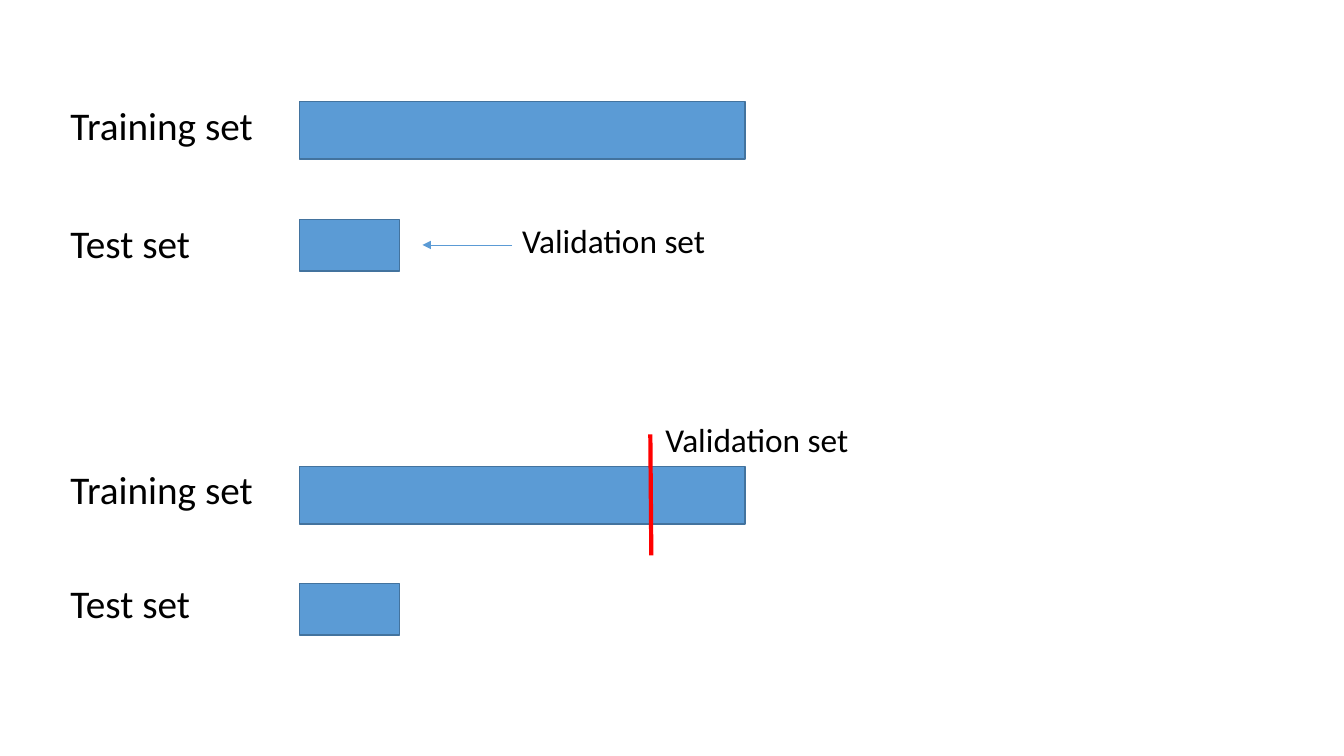
from lxml.etree import SubElement
from pptx import Presentation
from pptx.dml.color import RGBColor
from pptx.enum.shapes import MSO_CONNECTOR as Connector, MSO_SHAPE as Shape
from pptx.oxml.ns import qn
from pptx.util import Inches, Pt


def color(hex_value):
    return RGBColor.from_string(hex_value)


def add_label(text, left, top, size=28, font="Calibri", ink="000000"):
    box = slide.shapes.add_textbox(Inches(left), Inches(top), Inches(2.13), Inches(0.49))
    box.text_frame.word_wrap = True
    paragraph = box.text_frame.paragraphs[0]
    paragraph.line_spacing = 0.8
    paragraph.space_before = Pt(10)
    run = paragraph.add_run()
    run.text = text
    run.font.size = Pt(size)
    run.font.name = font
    run.font.color.rgb = color(ink)


prs = Presentation()
prs.slide_width, prs.slide_height = Inches(13.33), Inches(7.5)
slide = prs.slides.add_slide(prs.slide_layouts[6])

datasets = [
    ("Training set", 1.05, 1.01, 4.42, 0.57),
    ("Test set", 2.22, 2.18, 0.99, 0.51),
    ("Training set", 4.66, 4.63, 4.42, 0.57),
    ("Test set", 5.79, 5.79, 0.99, 0.51),
]
for name, label_top, bar_top, width, height in datasets:
    add_label(name, 0.6, label_top)
    bar = slide.shapes.add_shape(
        Shape.RECTANGLE, Inches(2.97), Inches(bar_top), Inches(width), Inches(height))
    bar.shadow.inherit = False
    bar.fill.solid()
    bar.fill.fore_color.rgb = color("5B9BD5")
    bar.line.color.rgb = color("43739E")
    bar.line.width = Pt(1)

add_label("Validation set", 5.08, 2.21, size=23.8)
add_label("Validation set", 6.5, 4.19, size=23.8)

markers = [
    (5.08, 2.43, 4.19, 2.43, "5B9BD5", 0.5, True),
    (6.45, 4.31, 6.46, 5.51, "FF0000", 3, False),
]
for x1, y1, x2, y2, stroke, weight, is_arrow in markers:
    marker = slide.shapes.add_connector(
        Connector.STRAIGHT, Inches(x1), Inches(y1), Inches(x2), Inches(y2))
    marker.line.color.rgb = color(stroke)
    marker.line.width = Pt(weight)
    if is_arrow:
        SubElement(marker.line._get_or_add_ln(), qn("a:tailEnd"), type="triangle")
    SubElement(marker._element.spPr, qn("a:effectLst"))

prs.save("out.pptx")
